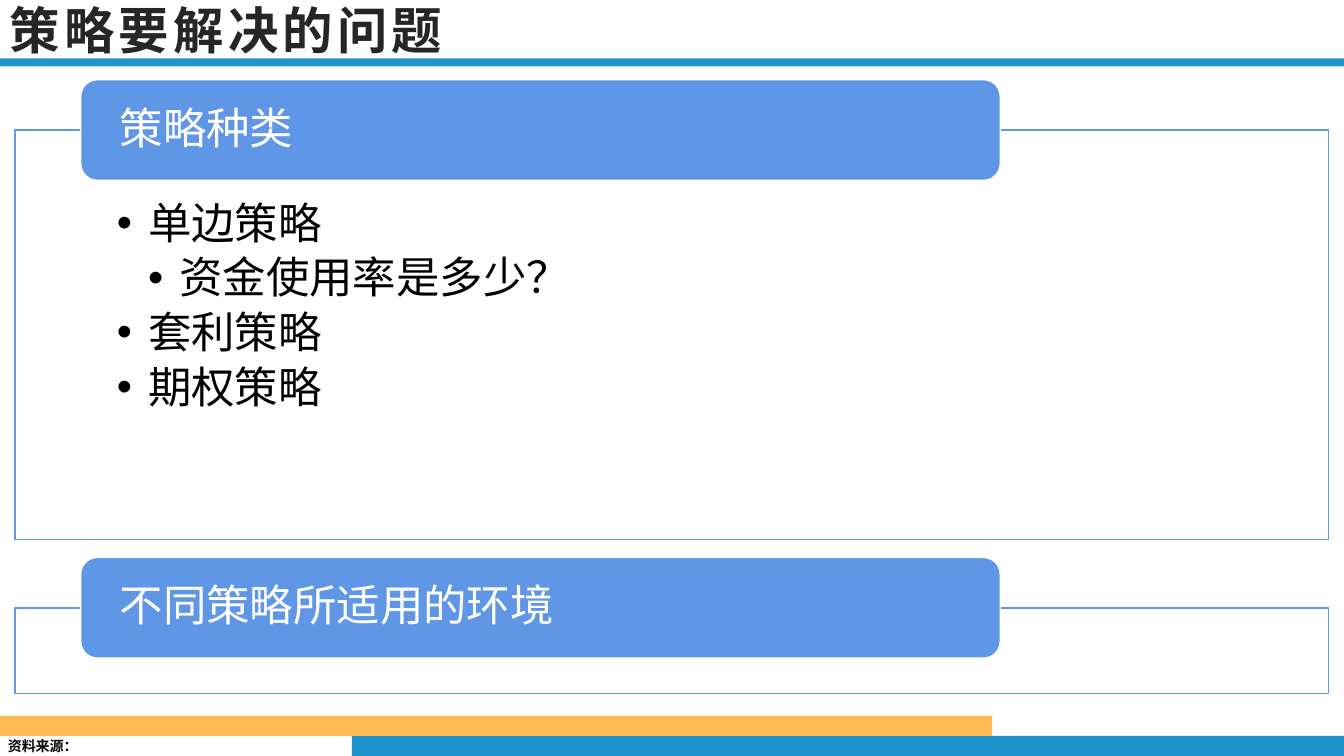
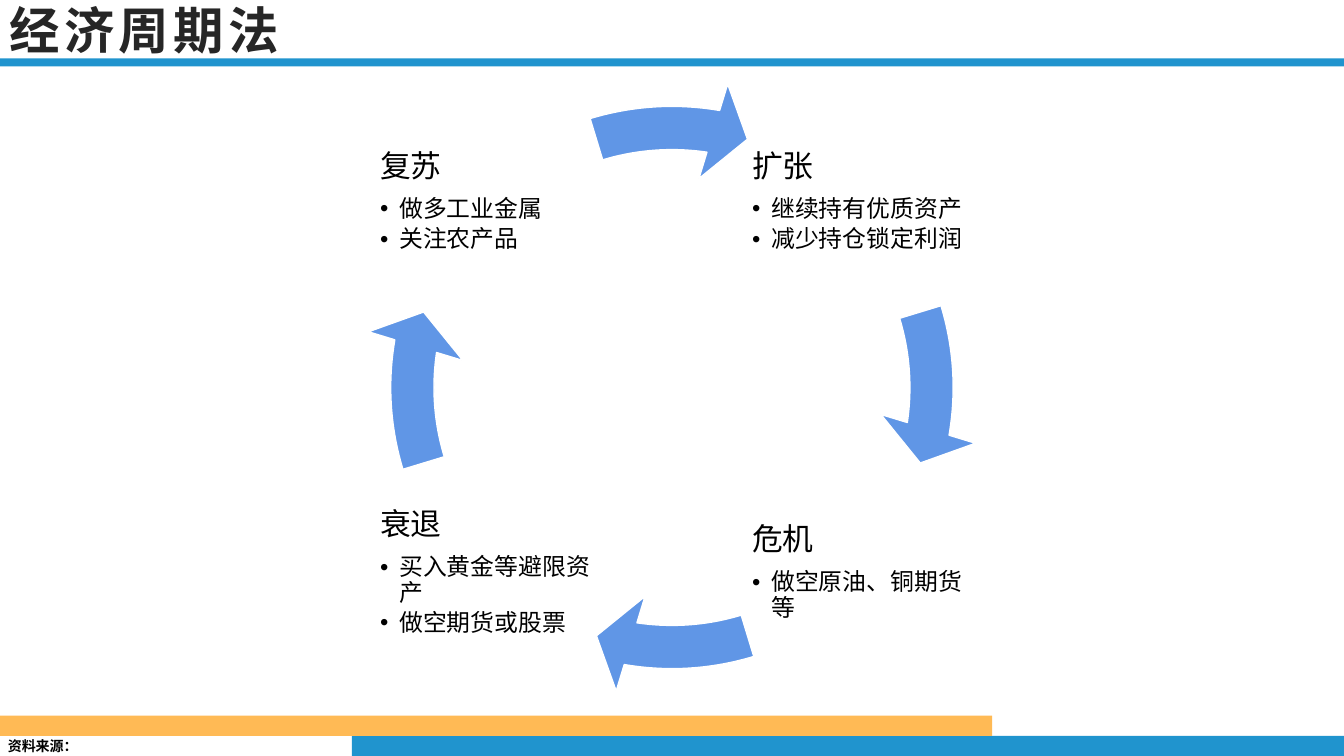
from lxml import etree
from pptx import Presentation
from pptx.dml.color import RGBColor
from pptx.enum import shapes, text
from pptx.oxml import ns
from pptx.util import Inches, Pt

COLORS = {
    "blue": "2094CE",
    "orange": "FFBA55",
    "accent": "6096E6",
    "title": "262626",
    "black": "000000",
    "white": "FFFFFF",
}
HEADING_FONT = "Noto Sans CJK SC"
BODY_FONT = "Arial"
SLIDE_W, SLIDE_H = 13.33, 7.5
BAND_H, BAND_W = 0.2, 9.84
SHAPE = shapes.MSO_SHAPE
ANCHOR = text.MSO_ANCHOR


def color(name):
    return RGBColor.from_string(COLORS[name])


def add_block(slide, kind, box, fill, line=None):
    block = slide.shapes.add_shape(kind, *map(Inches, box))
    block.shadow.inherit = False
    block.fill.solid()
    block.fill.fore_color.rgb = color(fill)
    if line:
        block.line.color.rgb = color(line)
        block.line.width = Pt(1)
    else:
        block.line.fill.background()
    return block


def set_frame(holder, anchor, insets):
    """Wrap the text and set its anchor and left, top, right, bottom insets."""
    frame = holder.text_frame
    frame.word_wrap = True
    frame.vertical_anchor = anchor
    (frame.margin_left, frame.margin_top,
     frame.margin_right, frame.margin_bottom) = map(Inches, insets)
    return frame


def add_bullet(paragraph, level, step):
    props = paragraph._p.get_or_add_pPr()
    props.set("marL", str(Inches(level * step)))
    props.set("indent", str(-Inches(step)))
    etree.SubElement(props, ns.qn("a:buFont")).set("typeface", BODY_FONT)
    etree.SubElement(props, ns.qn("a:buChar")).set("char", "•")


def write_lines(frame, lines, tint, step=0):
    """Write (wording, size, level) lines; level 0 has no bullet."""
    for index, (wording, size, level) in enumerate(lines):
        paragraph = frame.paragraphs[0] if index == 0 else frame.add_paragraph()
        paragraph.text = wording
        paragraph.alignment = text.PP_ALIGN.LEFT
        paragraph.line_spacing = 0.9
        paragraph.space_after = Pt(round(size * (0.18 if level else 0.42), 1))
        if level:
            add_bullet(paragraph, level, step)
        font = paragraph.runs[0].font
        font.name, font.size = BODY_FONT, Pt(size)
        font.color.rgb = color(tint)


def add_heading(slide, box, wording, size, tint, anchor, spacing=0):
    label = slide.shapes.add_textbox(*map(Inches, box))
    frame = set_frame(label, anchor, (0.1, 0.05, 0.1, 0.05))
    frame.text = wording
    run = frame.paragraphs[0].runs[0]
    run.font.name, run.font.size, run.font.bold = HEADING_FONT, Pt(size), True
    run.font.color.rgb = color(tint)
    props = run._r.get_or_add_rPr()
    etree.SubElement(props, ns.qn("a:ea")).set("typeface", HEADING_FONT)
    if spacing:
        props.set("spc", str(spacing * 100))


def add_titled_slide(deck, title):
    """Add a slide with the shared bands, source label and title."""
    slide = deck.slides.add_slide(deck.slide_layouts[6])
    bands = [
        ((SLIDE_W - BAND_W, SLIDE_H - BAND_H, BAND_W, BAND_H), "blue"),
        ((0, SLIDE_H - 2 * BAND_H, BAND_W, BAND_H), "orange"),
        ((0, 0.58, SLIDE_W, 0.08), "blue"),
    ]
    for box, fill in bands:
        add_block(slide, SHAPE.RECTANGLE, box, fill)
    add_heading(slide, (-0.02, 7.27, 1, 0.27), "资料来源：", 10, "black", ANCHOR.TOP)
    add_heading(slide, (0, 0, 11.44, 0.58), title, 36, "title", ANCHOR.MIDDLE, 3)
    return slide


def add_topic_panel(slide, box, topic, points):
    """Outlined panel with a topic tab straddling its top edge."""
    left, top, width, _ = box
    tab_h = 1
    panel = add_block(slide, SHAPE.RECTANGLE, box, "white", "accent")
    if points:
        frame = set_frame(panel, ANCHOR.TOP, (1.01, 0.71, 1.01, 0.24))
        write_lines(frame, [(point, 31, level) for point, level in points],
                    "black", 0.31)
    tab_box = (left + 0.65, top - tab_h / 2, width * 0.7, tab_h)
    tab = add_block(slide, SHAPE.ROUNDED_RECTANGLE, tab_box, "accent", "white")
    frame = set_frame(tab, ANCHOR.MIDDLE, (0.34, 0, 0.34, 0))
    write_lines(frame, [(topic, 31, 0)], "white")


def add_cycle(slide, box, phases):
    """Four phases clockwise from top right, each followed by a curved arrow."""
    left, top, size, _ = box
    phase_size = 2.17
    near, far = 0.14, size - 0.13 - phase_size
    corners = [(far, near), (far, size - near - phase_size),
               (near, size - near - phase_size), (near, near)]
    quarter, full_turn = 54, 216
    for index, ((dx, dy), (phase, actions)) in enumerate(zip(corners, phases)):
        label = slide.shapes.add_textbox(
            *map(Inches, (left + dx, top + dy, phase_size, phase_size)))
        frame = set_frame(label, ANCHOR.MIDDLE, (0.03,) * 4)
        lines = [(phase, 22, 0)] + [(action, 17, 1) for action in actions]
        write_lines(frame, lines, "black", 0.19)

        arrow = add_block(slide, SHAPE.CIRCULAR_ARROW, box, "accent", "white")
        turn = quarter * index
        settings = (0.07, 4.65, 5.5 + turn, (205.85 + turn) % full_turn, 0.08)
        for position, value in enumerate(settings):
            arrow.adjustments[position] = value


def build_strategy_slide(deck):
    slide = add_titled_slide(deck, "策略要解决的问题")
    add_topic_panel(slide, (0.15, 1.29, 13.03, 4.06), "策略种类", [
        ("单边策略", 1),
        ("资金使用率是多少？", 2),
        ("套利策略", 1),
        ("期权策略", 1),
    ])
    add_topic_panel(slide, (0.15, 6.03, 13.03, 0.85), "不同策略所适用的环境", [])


def build_cycle_slide(deck):
    slide = add_titled_slide(deck, "经济周期法")
    add_cycle(slide, (3.6, 0.78, 6.13, 6.13), [
        ("扩张", ["继续持有优质资产", "减少持仓锁定利润"]),
        ("危机", ["做空原油、铜期货等"]),
        ("衰退", ["买入黄金等避限资产", "做空期货或股票"]),
        ("复苏", ["做多工业金属", "关注农产品"]),
    ])


def main():
    deck = Presentation()
    deck.slide_width, deck.slide_height = Inches(SLIDE_W), Inches(SLIDE_H)
    build_strategy_slide(deck)
    build_cycle_slide(deck)
    deck.save("out.pptx")


if __name__ == "__main__":
    main()
